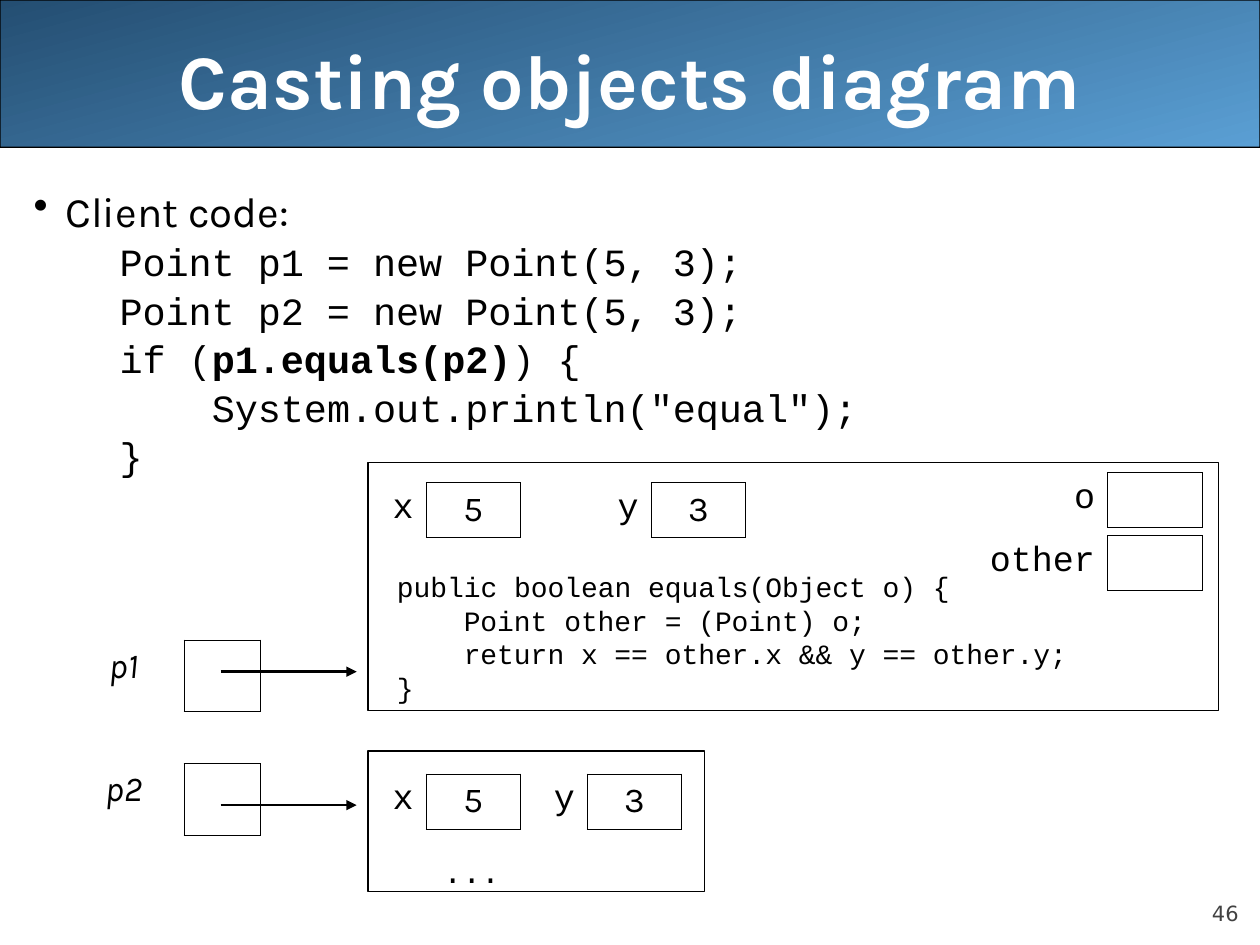
from lxml import etree
from pptx import Presentation
from pptx.dml.color import RGBColor
from pptx.enum import shapes, text
from pptx.oxml import ns
from pptx.util import Cm, Pt

BLACK = RGBColor(0, 0, 0)
WHITE = RGBColor(0xFF, 0xFF, 0xFF)
GRAY = RGBColor(0x42, 0x42, 0x42)
BANNER_DARK = RGBColor(0x24, 0x4E, 0x72)
BANNER_LIGHT = RGBColor(0x5A, 0x9F, 0xD4)

CODE, PROSE, NUMBER = "Courier New", "Karla", "DejaVu Sans"
LEFT, CENTER, RIGHT = text.PP_ALIGN.LEFT, text.PP_ALIGN.CENTER, text.PP_ALIGN.RIGHT

LABEL_W, VALUE_W, FIELD_H = 0.94, 1.9, 1.11
OBJECT_X, FIELDS_X, LOCALS_X = 7.42, 7.65, 22.33


def xml_child(parent, tag, **attributes):
    return etree.SubElement(parent, ns.qn(tag), attributes)


def add_run(paragraph, words, size, font, color=BLACK, bold=False, italic=False):
    run = paragraph.add_run()
    run.text = words
    run.font.name, run.font.size = font, Pt(size)
    run.font.color.rgb = color
    run.font.bold, run.font.italic = bold, italic


def next_paragraph(frame):
    first = frame.paragraphs[0]
    return frame.add_paragraph() if first.runs else first


def set_margin(paragraph, left, first_line=0):
    properties = paragraph._p.get_or_add_pPr()
    properties.set("marL", str(Cm(left)))
    properties.set("indent", str(Cm(first_line)))
    return properties


def add_code_line(frame, parts, size, margin, depth=0):
    """parts holds (words, bold) pairs; each depth is four characters wide."""
    paragraph = next_paragraph(frame)
    paragraph.alignment = LEFT
    four_characters = 4 * 0.6 * size / 72 * 2.54
    set_margin(paragraph, round(margin + depth * four_characters, 2))
    for words, bold in parts:
        add_run(paragraph, words, size, CODE, bold=bold)
    return paragraph


def add_text_box(slide, left, top, width, height, anchor):
    frame = slide.shapes.add_textbox(Cm(left), Cm(top), Cm(width), Cm(height)).text_frame
    frame.word_wrap = True
    frame.vertical_anchor = anchor
    return frame


def add_banner(slide):
    banner = slide.shapes.add_shape(shapes.MSO_SHAPE.ROUNDED_RECTANGLE,
                                    0, 0, Cm(25.4), Cm(2.97))
    banner.adjustments[0] = 0.001
    banner.shadow.inherit = False
    banner.fill.gradient()
    banner.fill.gradient_angle = 285
    for stop, color, position in zip(banner.fill.gradient_stops,
                                     (BANNER_DARK, BANNER_LIGHT), (0, 1)):
        stop.color.rgb, stop.position = color, position
    banner.line.color.rgb = BLACK
    banner.line.width = Pt(0.75)


def add_object_box(slide, top, width, height, bottom_inset):
    box = slide.shapes.add_shape(shapes.MSO_SHAPE.RECTANGLE,
                                 Cm(OBJECT_X), Cm(top), Cm(width), Cm(height))
    box.shadow.inherit = False
    box.fill.background()
    box.line.color.rgb = BLACK
    box.line.width = Pt(0.75)
    frame = box.text_frame
    frame.word_wrap = True
    frame.vertical_anchor = text.MSO_ANCHOR.BOTTOM
    frame.margin_bottom = Cm(bottom_inset)
    return frame


def set_borders(cell, boxed_sides):
    properties = cell._tc.get_or_add_tcPr()
    for side in "LRTB":
        edge = xml_child(properties, f"a:ln{side}", w=str(Pt(0.45)))
        if side in boxed_sides:
            xml_child(xml_child(edge, "a:solidFill"), "a:srgbClr", val=str(BLACK))
        else:
            xml_child(edge, "a:noFill")


def add_variables(slide, left, top, pairs, label_widths, value_width=VALUE_W,
                  height=FIELD_H, label_font=CODE, label_align=RIGHT):
    """One row of labels, each followed by a framed value."""
    count = 2 * len(pairs)
    widths = [w for label_w in label_widths for w in (label_w, value_width)]
    table = slide.shapes.add_table(1, count, Cm(left), Cm(top),
                                   Cm(sum(widths)), Cm(height)).table
    table.first_row = table.horz_banding = False
    for column, width in zip(table.columns, widths):
        column.width = Cm(width)
    words = [word for pair in pairs for word in pair]
    for index, word in enumerate(words):
        cell = table.cell(0, index)
        is_label = index % 2 == 0
        label_sides = "LR" if index else "R"
        set_borders(cell, label_sides if is_label else "LRTB")
        cell.fill.background()
        paragraph = cell.text_frame.paragraphs[0]
        paragraph.alignment = label_align if is_label else CENTER
        if word:
            add_run(paragraph, word, 20, label_font if is_label else PROSE,
                    italic=is_label and label_font == PROSE)


def add_reference(slide, name, top, arrow_y):
    add_variables(slide, 1.27, top, [(name, "")], [2.44], 1.54, 1.44, PROSE, CENTER)
    arrow = slide.shapes.add_connector(shapes.MSO_CONNECTOR.STRAIGHT,
                                       Cm(4.45), Cm(arrow_y), Cm(7.19), Cm(arrow_y))
    arrow.line.color.rgb = BLACK
    arrow.line.width = Pt(1.5)
    xml_child(arrow.line._get_or_add_ln(), "a:tailEnd", type="triangle")
    xml_child(arrow._element.spPr, "a:effectLst")


def add_client_code(slide):
    frame = add_text_box(slide, 0.43, 3.61, 24.97, 14.4, text.MSO_ANCHOR.TOP)
    heading = next_paragraph(frame)
    heading.space_before = Pt(6)
    properties = set_margin(heading, 0.64, -0.64)
    xml_child(properties, "a:buChar", char="•")
    add_run(heading, "Client code:", 24, PROSE)
    lines = [
        (0, [("Point p1 = new Point(5, 3);", False)]),
        (0, [("Point p2 = new Point(5, 3);", False)]),
        (0, [("if (", False), ("p1.equals(p2)", True), (") {", False)]),
        (1, [('System.out.println("equal");', False)]),
        (0, [("}", False)]),
    ]
    for depth, parts in lines:
        line = add_code_line(frame, parts, 22, 1.73, depth)
        line.line_spacing = 0.8
        line.space_before = Pt(6.6)


def main():
    deck = Presentation()
    deck.slide_width, deck.slide_height = Cm(25.4), Cm(19.05)
    slide = deck.slides.add_slide(deck.slide_layouts[6])

    # Banner, title and page number
    add_banner(slide)
    title = next_paragraph(add_text_box(slide, 1.27, 0, 22.86, 3.18, text.MSO_ANCHOR.MIDDLE))
    title.alignment = CENTER
    add_run(title, "Casting objects diagram", 44, PROSE, WHITE, bold=True)
    footer = add_text_box(slide, 22.86, 17.65, 2.11, 1.02, text.MSO_ANCHOR.BOTTOM)
    footer.margin_left = footer.margin_right = footer.margin_top = footer.margin_bottom = 0
    page = next_paragraph(footer)
    page.alignment = RIGHT
    add_run(page, "46", 12, NUMBER, GRAY)

    add_client_code(slide)

    # Object that p1 refers to, with its method
    method = add_object_box(slide, 9.32, 17.15, 5, 0.13)
    for depth, words in [(0, "public boolean equals(Object o) {"),
                         (1, "Point other = (Point) o;"),
                         (1, "return x == other.x && y == other.y;"),
                         (0, "}")]:
        add_code_line(method, [(words, False)], 16, 0.33, depth)
    point = [("x", "5"), ("y", "3")]
    add_variables(slide, FIELDS_X, 9.73, point, [LABEL_W, 2.64])
    add_reference(slide, "p1", 12.9, 13.54)

    # Object that p2 refers to
    members = add_object_box(slide, 15.14, 6.78, 2.84, 0.05)
    add_code_line(members, [("...", False)], 18, 1.27)
    add_variables(slide, FIELDS_X, 15.6, point, [LABEL_W, 1.35])
    add_reference(slide, "p2", 15.39, 16.23)

    # Parameter and local variable of the method
    for name, label_width, top in [("o", LABEL_W, 9.53), ("other", 2.64, 10.8)]:
        add_variables(slide, LOCALS_X - label_width, top, [(name, "")], [label_width])

    deck.save("out.pptx")


if __name__ == "__main__":
    main()
